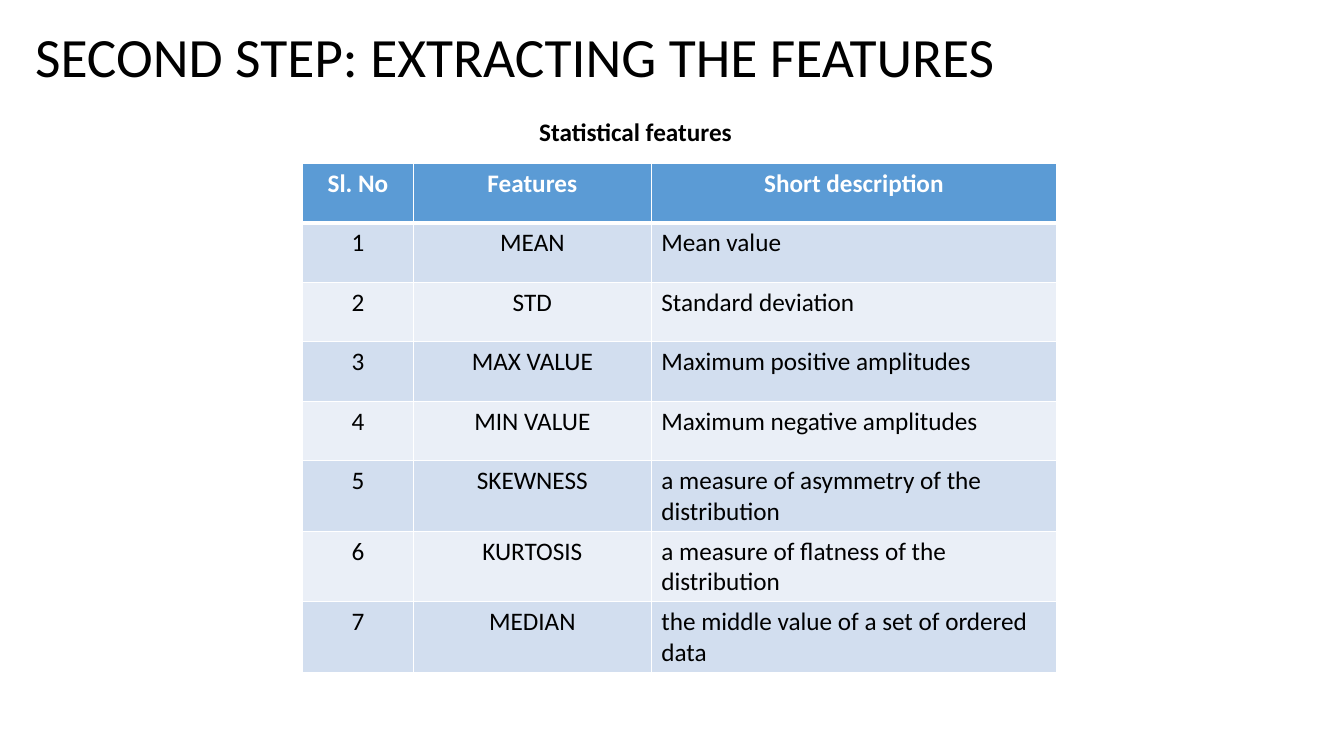
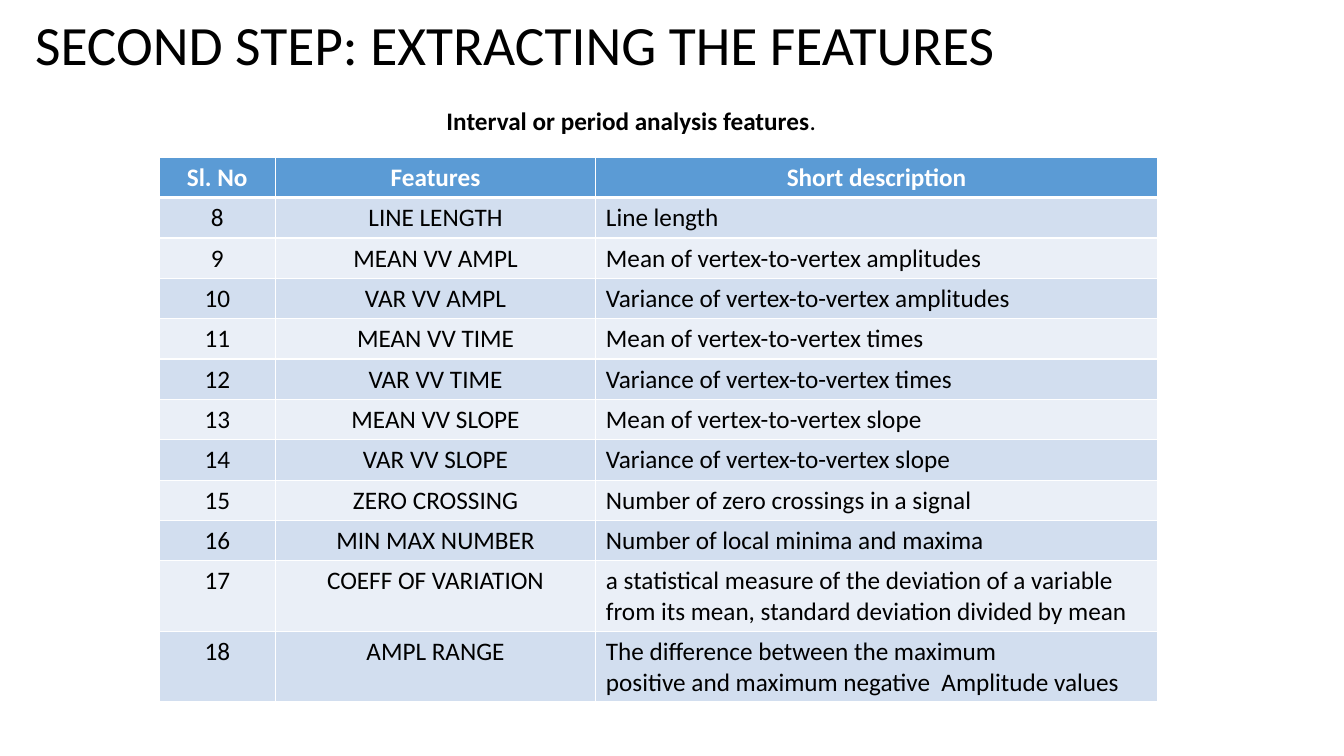
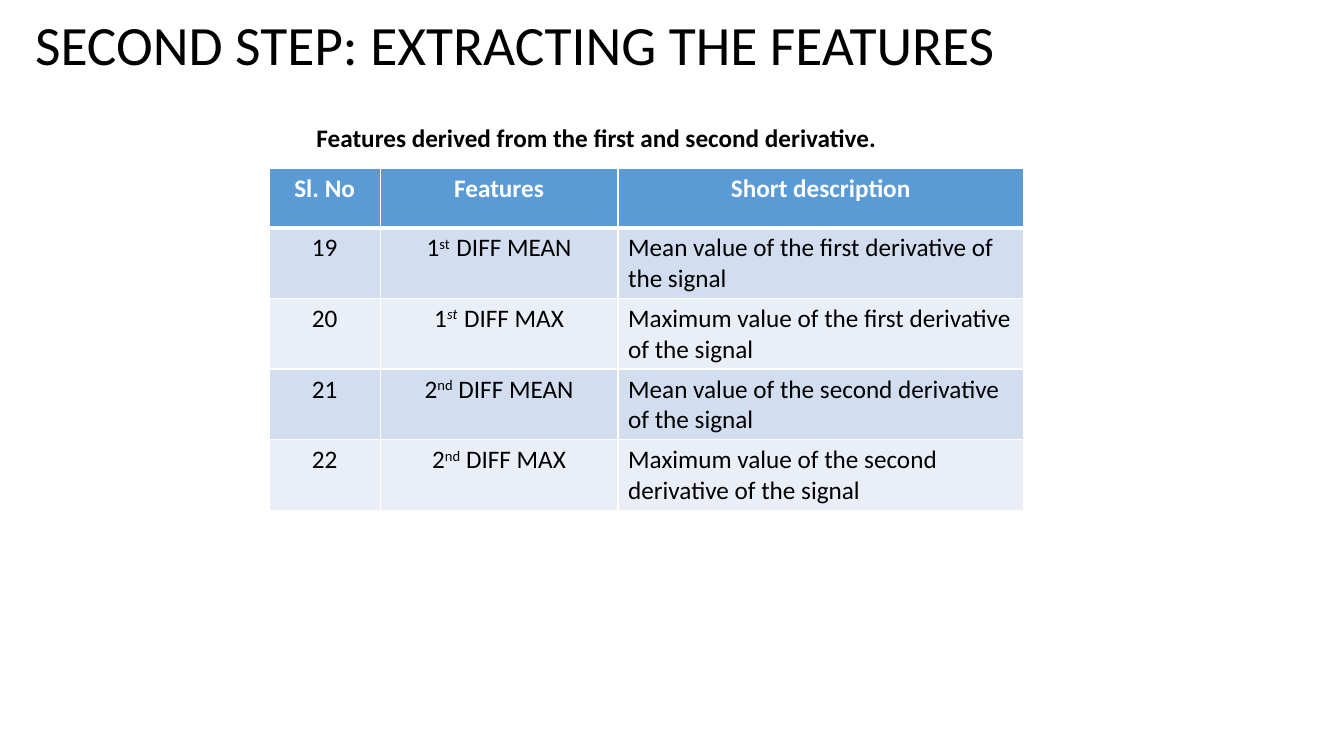
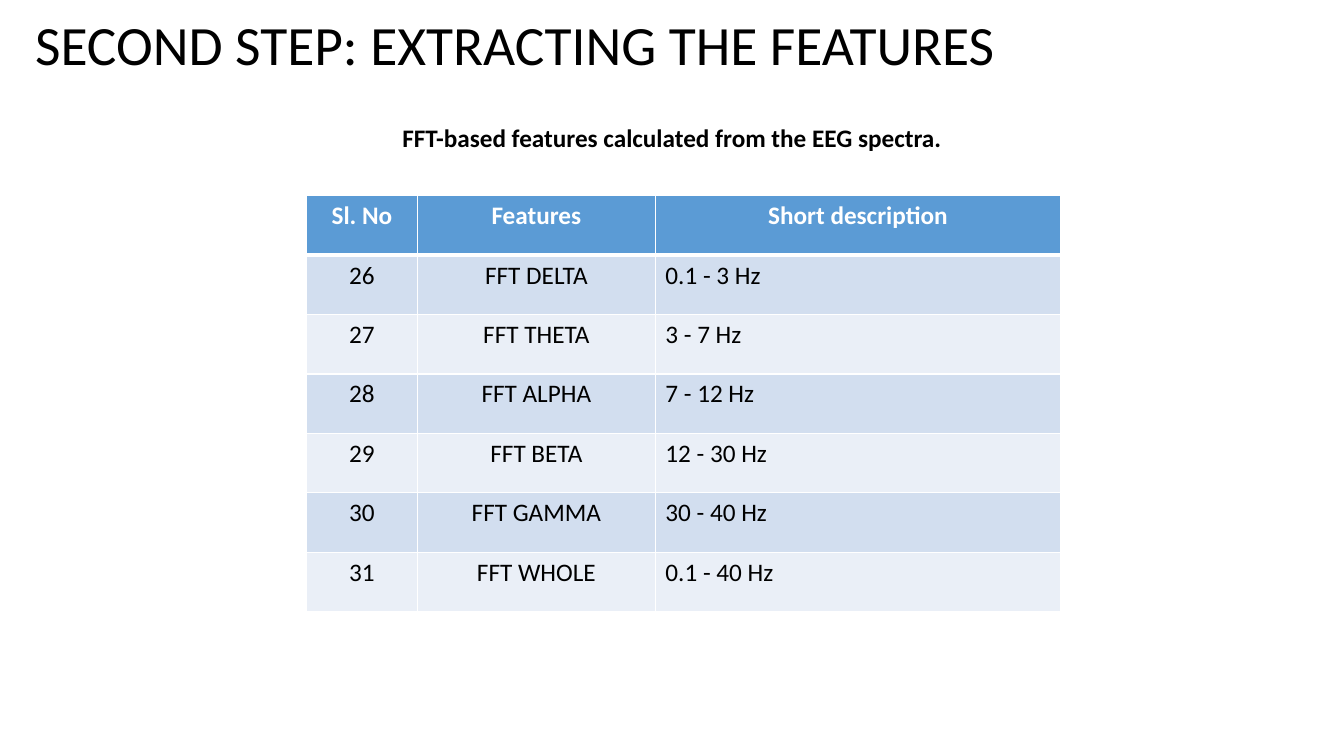
import pptx
import pptx.dml.color
import pptx.enum.text
import pptx.oxml
import pptx.oxml.ns
import pptx.util
from pptx.util import Inches

COLORS = {
    "text": "000000",
    "header_text": "FFFFFF",
    "header": "5B9BD5",
    "odd_row": "D2DEEF",
    "even_row": "EAEFF7",
    "border": "FFFFFF",
}
FONT = "Calibri"
BODY_SIZE = 18
TITLE = "SECOND STEP: EXTRACTING THE FEATURES"
TITLE_SIZE = 39.6
HEADINGS = ("Sl. No", "Features", "Short description")
COMPACT_COLUMNS = (1.1, 2.36, 4.02)
WIDE_COLUMNS = (1.15, 3.18, 5.57)
CENTER = pptx.enum.text.PP_ALIGN.CENTER
LEFT = pptx.enum.text.PP_ALIGN.LEFT

SLIDES = [
    {
        "title_top": 0.25,
        "caption": [("Statistical features", "bold")],
        "caption_at": (5.25, 1.1, 2.13), "wrap": False, "align": LEFT,
        "table_at": (3, 1.62), "columns": COMPACT_COLUMNS, "row_height": 0.59,
        "first_number": 1,
        "features": [
            ("MEAN", "Mean value"),
            ("STD", "Standard deviation"),
            ("MAX VALUE", "Maximum positive amplitudes"),
            ("MIN VALUE", "Maximum negative amplitudes"),
            ("SKEWNESS", "a measure of asymmetry of the distribution"),
            ("KURTOSIS", "a measure of flatness of the distribution"),
            ("MEDIAN", "the middle value of a set of ordered data"),
        ],
    },
    {
        "title_top": 0.13,
        "caption": [("Interval or period analysis features", "bold"), (".", "")],
        "caption_at": (4.33, 1, 3.89), "wrap": False, "align": LEFT,
        "table_at": (1.58, 1.56), "columns": WIDE_COLUMNS, "row_height": 0.39,
        "first_number": 8,
        "features": [
            ("LINE LENGTH", "Line length"),
            ("MEAN VV AMPL", "Mean of vertex-to-vertex amplitudes"),
            ("VAR VV AMPL", "Variance of vertex-to-vertex amplitudes"),
            ("MEAN VV TIME", "Mean of vertex-to-vertex times"),
            ("VAR VV TIME", "Variance of vertex-to-vertex times"),
            ("MEAN VV SLOPE", "Mean of vertex-to-vertex slope"),
            ("VAR VV SLOPE", "Variance of vertex-to-vertex slope"),
            ("ZERO CROSSING", "Number of zero crossings in a signal"),
            ("MIN MAX NUMBER", "Number of local minima and maxima"),
            ("COEFF OF VARIATION",
             "a statistical measure of the deviation of a variable from its mean, "
             "standard deviation divided by mean"),
            ("AMPL RANGE",
             "The difference between the maximum\n"
             "positive and maximum negative  Amplitude values"),
        ],
    },
    {
        "title_top": 0.13,
        "caption": [("Features derived from the first and second derivative.", "bold")],
        "caption_at": (3.04, 1.16, 7.32), "wrap": True, "align": LEFT,
        "table_at": (2.67, 1.67), "columns": COMPACT_COLUMNS, "row_height": 0.59,
        "first_number": 19,
        "features": [
            ([("1", ""), ("st  ", "super"), ("DIFF MEAN", "")],
             "Mean value of the first derivative of the signal"),
            ([("1", ""), ("st  ", "super italic"), ("DIFF MAX", "")],
             "Maximum value of the first derivative of the signal"),
            ([("2", ""), ("nd", "super"), (" DIFF MEAN", "")],
             "Mean value of the second derivative of the signal"),
            ([("2", ""), ("nd", "super"), (" DIFF MAX", "")],
             "Maximum value of the second derivative of the signal"),
        ],
    },
    {
        "title_top": 0.13,
        "caption": [("FFT-based features calculated from the EEG spectra.", "bold")],
        "caption_at": (2.49, 1.16, 8.35), "wrap": True, "align": CENTER,
        "table_at": (3.04, 1.94), "columns": COMPACT_COLUMNS, "row_height": 0.59,
        "first_number": 26,
        "features": [
            ("FFT DELTA", "0.1 - 3 Hz"),
            ("FFT THETA", "3 - 7 Hz"),
            ("FFT ALPHA", "7 - 12 Hz"),
            ("FFT BETA", "12 - 30 Hz"),
            ("FFT GAMMA", "30 - 40 Hz"),
            ("FFT WHOLE", "0.1 - 40 Hz"),
        ],
    },
]


def color(name):
    return pptx.dml.color.RGBColor.from_string(COLORS[name])


def write(frame, content, size=BODY_SIZE, align=LEFT, ink="text", bold=None):
    if isinstance(content, str):
        lines = [[(line, "")] for line in content.split("\n")]
    else:
        lines = [content]
    for index, spans in enumerate(lines):
        para = frame.add_paragraph() if index else frame.paragraphs[0]
        para.alignment = align
        para.font.name = FONT
        para.font.size = pptx.util.Pt(size)
        para.font.color.rgb = color(ink)
        para.font.bold = bold
        for text, style in spans:
            span = para.add_run()
            span.text = text
            if "bold" in style:
                span.font.bold = True
            if "italic" in style:
                span.font.italic = True
            if "super" in style:
                span._r.get_or_add_rPr().set("baseline", "30000")


def add_text(page, at, content, wrap=True, **style):
    box = page.shapes.add_textbox(*(Inches(length) for length in at))
    frame = box.text_frame
    frame.word_wrap = wrap
    write(frame, content, **style)
    return frame


def add_title(page, top):
    frame = add_text(page, (0.25, top, 11.5, 0.68), TITLE, size=TITLE_SIZE)
    frame.vertical_anchor = pptx.enum.text.MSO_ANCHOR.MIDDLE
    frame.paragraphs[0].line_spacing = 0.9


def add_borders(cell, row):
    widths = {"lnL": 1, "lnR": 1, "lnT": 3 if row == 1 else 1, "lnB": 1 if row else 3}
    properties = cell._tc.get_or_add_tcPr()
    for side, points in widths.items():
        properties.append(pptx.oxml.parse_xml(
            f'<a:{side} {pptx.oxml.ns.nsdecls("a")} w="{pptx.util.Pt(points)}">'
            f'<a:solidFill><a:srgbClr val="{COLORS["border"]}"/></a:solidFill></a:{side}>'
        ))


def add_feature_table(page, content):
    rows = [HEADINGS] + [
        (str(number), *feature)
        for number, feature in enumerate(content["features"], content["first_number"])
    ]
    columns, height = content["columns"], content["row_height"]
    left, top = content["table_at"]
    table = page.shapes.add_table(
        len(rows), len(columns), Inches(left), Inches(top),
        Inches(sum(columns)), Inches(height * len(rows)),
    ).table
    for column, width in zip(table.columns, columns):
        column.width = Inches(width)
    for row, values in enumerate(rows):
        table.rows[row].height = Inches(height)
        fill = ("even_row", "odd_row")[row % 2] if row else "header"
        for column, value in enumerate(values):
            cell = table.cell(row, column)
            add_borders(cell, row)
            cell.fill.solid()
            cell.fill.fore_color.rgb = color(fill)
            write(
                cell.text_frame, value,
                align=LEFT if row and column == 2 else CENTER,
                ink="text" if row else "header_text",
                bold=row == 0,
            )


def main():
    deck = pptx.Presentation()
    deck.slide_width, deck.slide_height = Inches(13.33), Inches(7.5)
    for content in SLIDES:
        page = deck.slides.add_slide(deck.slide_layouts[6])
        add_text(page, (*content["caption_at"], 0.4), content["caption"],
                 wrap=content["wrap"], align=content["align"])
        add_feature_table(page, content)
        add_title(page, content["title_top"])
    deck.save("out.pptx")


if __name__ == "__main__":
    main()
